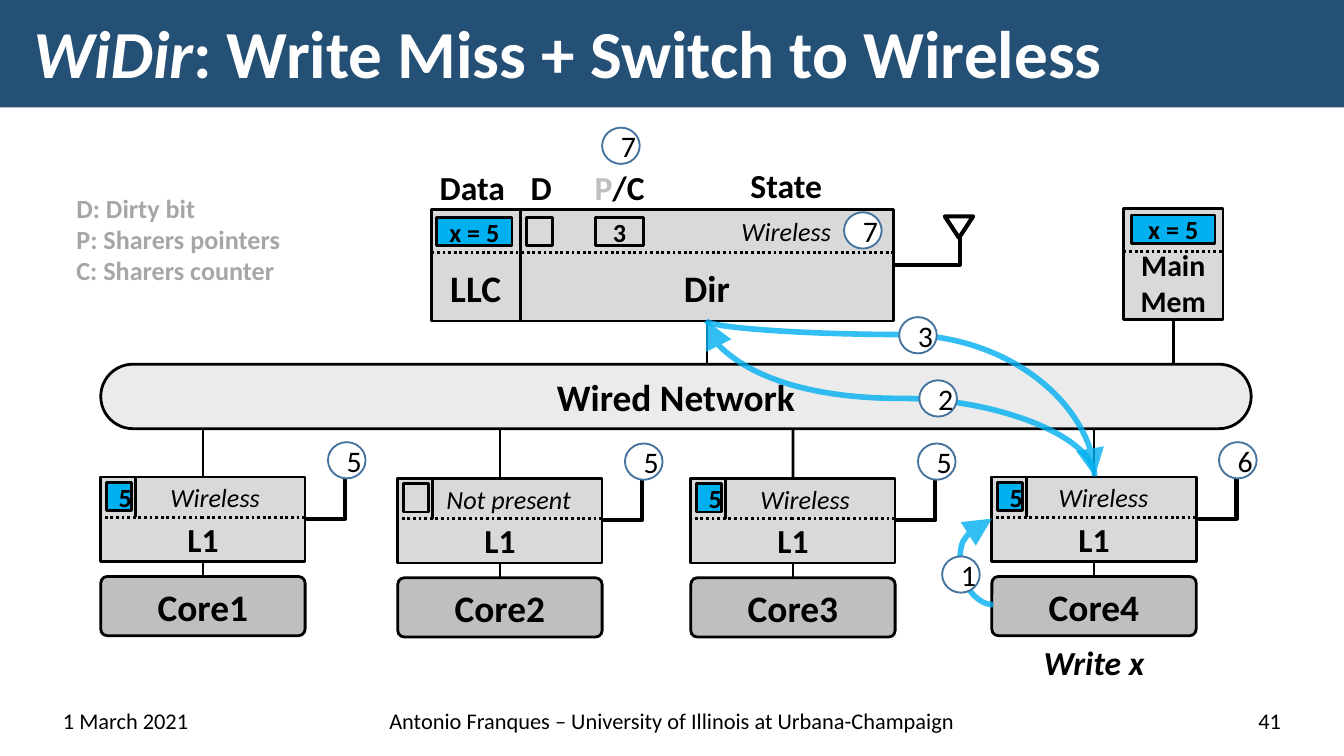
from lxml import etree
from pptx import Presentation
from pptx.dml.color import RGBColor
from pptx.enum.dml import MSO_LINE
from pptx.enum.shapes import MSO_CONNECTOR, MSO_SHAPE
from pptx.enum.text import MSO_ANCHOR, PP_ALIGN
from pptx.oxml.ns import qn
from pptx.util import Inches, Pt

RECT, ROUND = MSO_SHAPE.RECTANGLE, MSO_SHAPE.ROUNDED_RECTANGLE
OVAL, TRIANGLE = MSO_SHAPE.OVAL, MSO_SHAPE.ISOSCELES_TRIANGLE
STRAIGHT, ELBOW, CURVE = MSO_CONNECTOR.STRAIGHT, MSO_CONNECTOR.ELBOW, MSO_CONNECTOR.CURVE
DOT = MSO_LINE.ROUND_DOT
LEFT, CENTER, RIGHT = PP_ALIGN.LEFT, PP_ALIGN.CENTER, PP_ALIGN.RIGHT
TOP, MIDDLE, BOTTOM = MSO_ANCHOR.TOP, MSO_ANCHOR.MIDDLE, MSO_ANCHOR.BOTTOM

C = {"title": "255076", "white": "FFFFFF", "black": "000000", "cache": "D9D9D9",
     "core": "BFBFBF", "net": "EBEBEB", "data": "00B0F0", "step": "43739E",
     "legend": "A6A6A6"}

prs = Presentation()
prs.slide_width = Inches(10)
prs.slide_height = Inches(10) * 9 // 16
s = prs.slides.add_slide(prs.slide_layouts[6])


def box(kind, x, y, w, h, text="", size=14, fill=None, line="black", width=1.5, dash=None,
        color="black", align=CENTER, anchor=MIDDLE, ins=(0.1, 0.05, 0.1, 0.05), **fmt):
    """Add a shape, or a text box if kind is None; text is a string or a list of (text, format)."""
    at = [Inches(v) for v in (x, y, w, h)]
    if kind is None:
        sp = s.shapes.add_textbox(*at)
    else:
        sp = s.shapes.add_shape(kind, *at)
        sp.shadow.inherit = False
        if fill:
            sp.fill.solid()
            sp.fill.fore_color.rgb = RGBColor.from_string(C[fill])
        else:
            sp.fill.background()
        if line:
            sp.line.color.rgb = RGBColor.from_string(C[line])
            sp.line.width = Pt(width)
            if dash:
                sp.line.dash_style = dash
        else:
            sp.line.fill.background()
    tf = sp.text_frame
    tf.word_wrap, tf.vertical_anchor = True, anchor
    for side, inset in zip(("left", "top", "right", "bottom"), ins):
        setattr(tf, f"margin_{side}", Inches(inset))
    paragraphs = [[(t, {})] for t in text.split("\n")] if isinstance(text, str) else [text]
    for i, runs in enumerate(paragraphs):
        p = tf.add_paragraph() if i else tf.paragraphs[0]
        p.alignment = align
        for words, extra in runs:
            if not words:
                continue
            r = p.add_run()
            r.text = words
            values = {"name": "Calibri", "size": Pt(size), "color": color, **fmt, **extra}
            r.font.color.rgb = RGBColor.from_string(C[values.pop("color")])
            for key, value in values.items():
                setattr(r.font, key, value)
    return sp


def wire(kind, x1, y1, x2, y2, width=1.5, color="black", dash=None, adj=None):
    """Add a connector; elbows have one corner, curves get an arrowhead and transparency."""
    c = s.shapes.add_connector(kind, *[Inches(v) for v in (x1, y1, x2, y2)])
    c.line.color.rgb = RGBColor.from_string(C[color])
    c.line.width = Pt(width)
    if dash:
        c.line.dash_style = dash
    sppr = c._element.spPr
    geom, ln = sppr.find(qn("a:prstGeom")), sppr.find(qn("a:ln"))
    if kind == ELBOW:
        geom.set("prst", "bentConnector2")
    if kind == CURVE:
        etree.SubElement(geom.find(qn("a:avLst")), qn("a:gd"),
                         name="adj1", fmla=f"val {round(adj * 100000)}")
        etree.SubElement(ln.find(".//" + qn("a:srgbClr")), qn("a:alpha"), val="80000")
        etree.SubElement(ln, qn("a:tailEnd"), type="triangle", w="lg", len="lg")
    etree.SubElement(sppr, qn("a:effectLst"))
    return c


# Title bar
box(RECT, 0, 0, 10, 0.8, fill="title", line=None)
title = box(None, 0.15, 0.11, 9.7, 0.63,
            [("WiDir", {"italic": True}), (": Write Miss + Switch to Wireless", {})],
            36, color="white", align=LEFT, bold=True)
title.text_frame.paragraphs[0].line_spacing = 0.9

# Footer
for x, w, text, align in [
        (0.37, 2.57, "1 March 2021", LEFT),
        (2.77, 4.46, "Antonio Franques – University of Illinois at Urbana-Champaign", CENTER),
        (7.06, 2.57, "41", RIGHT)]:
    box(None, x, 5.21, w, 0.3, text, 12, align=align, anchor=BOTTOM)

# Wired network
net = box(ROUND, 0.75, 2.71, 8.56, 0.48, "Wired Network", 20, fill="net", bold=True)
net.adjustments[0] = 0.5

# Last-level cache and directory
low = {"anchor": BOTTOM, "bold": True, "fill": "cache"}
box(RECT, 3.21, 1.56, 0.66, 0.83, "LLC", 20, ins=(0.1, 0, 0.1, 0.08), **low)
directory = box(RECT, 3.87, 1.56, 2.78, 0.83, "Dir", 20, ins=(0.1, 0, 0.1, 0.08), **low)
box(TRIANGLE, 7.03, 1.61, 0.21, 0.16, width=2.25).rotation = 180
wire(ELBOW, 6.65, 1.97, 7.14, 1.76, 2.25)
wire(STRAIGHT, 3.21, 1.88, 6.65, 1.88, dash=DOT)
wire(STRAIGHT, 5.26, 2.38, 5.26, 2.71).begin_connect(directory, 2)

# Directory column headings and entry
for x, y, w, text, align in [
        (3.16, 1.19, 0.71, "Data", CENTER), (3.85, 1.19, 0.35, "D", RIGHT),
        (4.3, 1.19, 0.62, [("P", {"color": "core"}), ("/C", {})], CENTER),
        (5.09, 1.18, 1.52, "State", CENTER)]:
    box(None, x, y, w, 0.4, text, 18, align=align, anchor=TOP, bold=True)
box(RECT, 3.25, 1.62, 0.56, 0.21, "x = 5", fill="data", ins=(0, 0.05, 0, 0.05), bold=True)
box(RECT, 3.92, 1.62, 0.19, 0.21)
box(RECT, 4.43, 1.62, 0.36, 0.21, "3", fill="cache", bold=True)
box(None, 5.09, 1.55, 1.52, 0.34, "Wireless", anchor=TOP, ins=(0, 0.05, 0, 0.05), italic=True)

# Main memory
memory = box(RECT, 8.36, 1.55, 0.74, 0.83, "Main Mem", 16, ins=(0.1, 0, 0.1, 0.01), **low)
wire(STRAIGHT, 8.73, 2.38, 8.73, 2.71).begin_connect(memory, 2)
wire(STRAIGHT, 8.36, 1.87, 9.1, 1.87, dash=DOT)
box(RECT, 8.42, 1.6, 0.62, 0.21, "x = 5", fill="data", bold=True)

# Cores with their L1 caches and antennas
steps = [("7", 6.28, 1.58), ("7", 4.48, 0.95), ("1", 7.01, 4.14), ("2", 6.84, 2.83),
         ("3", 6.69, 2.36)]
cores = [(0.75, 3.55, "5", "Wireless", 0.28, "5"), (2.96, 3.56, "", "Not present", 0.23, "5"),
         (5.14, 3.56, "5", "Wireless", 0.28, "5"), (7.38, 3.55, "5", "Wireless", 0.24, "6")]
for n, (x, y, value, state, indent, step) in enumerate(cores, 1):
    mid = x + 0.76
    l1 = box(RECT, x, y, 1.52, 0.63, "L1", 18, ins=(0.1, 0, 0.1, 0.02), **low)
    core = box(ROUND, x, y + 0.74, 1.52, 0.44, f"Core{n}", 20, fill="core", bold=True)
    core.adjustments[0] = 0.11
    box(TRIANGLE, x + 1.71, y - 0.18, 0.21, 0.16, width=2.25).rotation = 180
    wire(ELBOW, x + 1.52, y + 0.31, x + 1.82, y - 0.02, 2.25)
    wire(STRAIGHT, mid, y, mid, 3.19).begin_connect(l1, 0)
    link = wire(STRAIGHT, mid, y + 0.74, mid, y + 0.63)
    link.begin_connect(core, 0)
    link.end_connect(l1, 2)
    box(RECT, x + 0.04, y + 0.04, 0.19, 0.21, value, fill="data" if value else None, bold=True)
    wire(STRAIGHT, x + 0.26, y + 0.3, x + 0.26, y)
    box(RECT, x, y, 1.52, 0.3, state, dash=DOT, ins=(indent, 0.05, 0.1, 0.05), italic=True)
    steps.append((step, x + 1.69, y - 0.26))
box(None, 7.38, 4.73, 1.52, 0.4, "Write x", 18, anchor=TOP, bold=True, italic=True)

# Message arrows: core to L1, then L1 to directory and back (turned a quarter)
wire(CURVE, 7.39, 4.5, 7.38, 3.86, 3, "data", adj=25)
for x1, y1, x2, y2, adj in [(6.12, 4.41, 7.28, 1.52, 0.5), (7.28, 1.52, 6.12, 4.41, 0.09)]:
    arrow = wire(CURVE, x1, y1, x2, y2, 3, "data", adj=adj)
    arrow._element.spPr.find(qn("a:xfrm")).set("rot", str(270 * 60000))

# Step numbers
for number, x, y in steps:
    box(OVAL, x, y, 0.28, 0.27, number, 16, fill="white", line="step", width=1)

# Legend
box(None, 0.47, 1.38, 1.89, 0.81, "D: Dirty bit\nP: Sharers pointers\nC: Sharers counter",
    color="legend", align=LEFT, anchor=TOP, bold=True)

prs.save("out.pptx")
